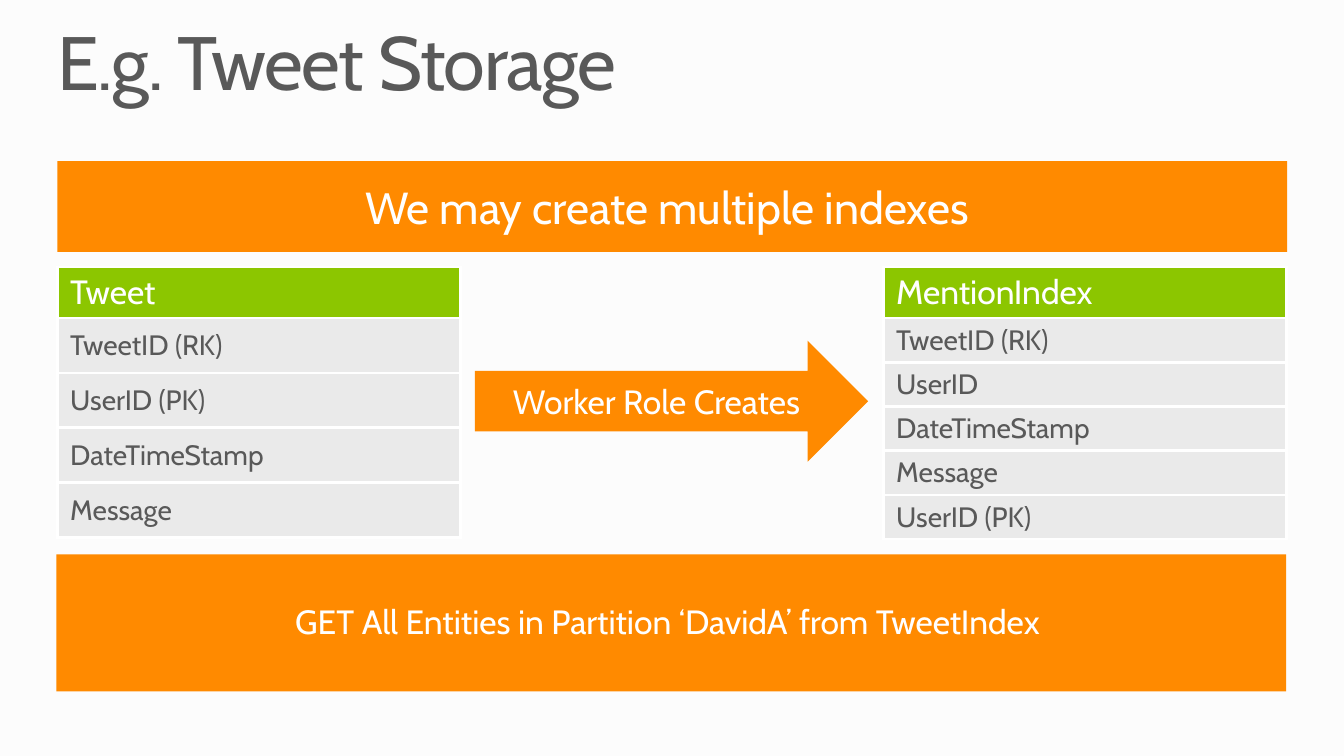
from pptx import Presentation
from pptx.dml.color import RGBColor
from pptx.enum.shapes import MSO_SHAPE
from pptx.enum.text import MSO_ANCHOR, PP_ALIGN
from pptx.oxml import parse_xml
from pptx.oxml.ns import nsdecls
from pptx.util import Pt

ORANGE, GREEN, GRAY = "FF8A00", "8CC600", "EAEAEA"
WHITE, DARK = "FFFFFF", "595959"


def rgb(value):
    return RGBColor.from_string(value)


def add_text(tf, text, size, color, align=PP_ALIGN.LEFT):
    p = tf.paragraphs[0]
    p.alignment = align
    r = p.add_run()
    r.text = text
    r.font.name = "Cabin"
    r.font.size = Pt(size)
    r.font.color.rgb = rgb(color)
    return p, r


prs = Presentation()
prs.slide_width, prs.slide_height = Pt(960), Pt(540)
s = prs.slides.add_slide(prs.slide_layouts[6])
s.background.fill.solid()
s.background.fill.fore_color.rgb = rgb("FCFCFC")

# Bands and arrow
shapes = [
    (MSO_SHAPE.RECTANGLE, 41, 115.2, 878.4, 64.8, ""),
    (MSO_SHAPE.RECTANGLE, 40.3, 396, 878.4, 97.9, ""),
    (MSO_SHAPE.RIGHT_ARROW, 339.3, 243.4, 280.8, 86.4, "Worker Role Creates"),
]
for kind, x, y, w, h, label in shapes:
    sp = s.shapes.add_shape(kind, Pt(x), Pt(y), Pt(w), Pt(h))
    sp.shadow.inherit = False
    sp.fill.solid()
    sp.fill.fore_color.rgb = rgb(ORANGE)
    sp.line.fill.background()
    if label:
        sp.text_frame.vertical_anchor = MSO_ANCHOR.MIDDLE
        add_text(sp.text_frame, label, 24, WHITE, PP_ALIGN.CENTER)

# Title and band texts
texts = [
    (41, 18, 59, "E.g. Tweet Storage", 54, DARK, PP_ALIGN.LEFT),
    (41, 128.2, 38.9, "We may create multiple indexes ", 32, WHITE, PP_ALIGN.CENTER),
    (40.3, 429.1, 29, "GET All Entities in Partition ‘DavidA’ from TweetIndex ", 24, WHITE,
     PP_ALIGN.CENTER),
]
for x, y, h, text, size, color, align in texts:
    tf = s.shapes.add_textbox(Pt(x), Pt(y), Pt(878.4), Pt(h)).text_frame
    tf.word_wrap = True
    tf.margin_left = tf.margin_right = tf.margin_top = tf.margin_bottom = 0
    p, r = add_text(tf, text, size, color, align)
    if size == 54:
        p.line_spacing = 0.9
        r._r.get_or_add_rPr().set("spc", "-100")

# Entity tables: header row, then one row per field
tables = [
    (41, 39.2, ["Tweet", "TweetID (RK)", "UserID (PK)", "DateTimeStamp", "Message"]),
    (631, 31.6, ["MentionIndex", "TweetID (RK)", "UserID", "DateTimeStamp", "Message",
                 "UserID (PK)"]),
]
for x, row_height, names in tables:
    table = s.shapes.add_table(len(names), 1, Pt(x), Pt(190.8), Pt(288), Pt(192.2)).table
    for i, name in enumerate(names):
        table.rows[i].height = Pt(row_height if i else 36.4)
        cell = table.cell(i, 0)
        cell.margin_left = cell.margin_right = Pt(9.2)
        cell.margin_top = cell.margin_bottom = Pt(3.6)
        cell.vertical_anchor = MSO_ANCHOR.MIDDLE
        for side in ("lnL", "lnR", "lnT", "lnB"):
            cell._tc.get_or_add_tcPr().append(parse_xml(
                f'<a:{side} {nsdecls("a")} w="{Pt(2.25)}"><a:solidFill>'
                f'<a:srgbClr val="{WHITE}"/></a:solidFill></a:{side}>'))
        cell.fill.solid()
        cell.fill.fore_color.rgb = rgb(GRAY if i else GREEN)
        add_text(cell.text_frame, name, 20 if i else 24, DARK if i else WHITE)

prs.save("out.pptx")
